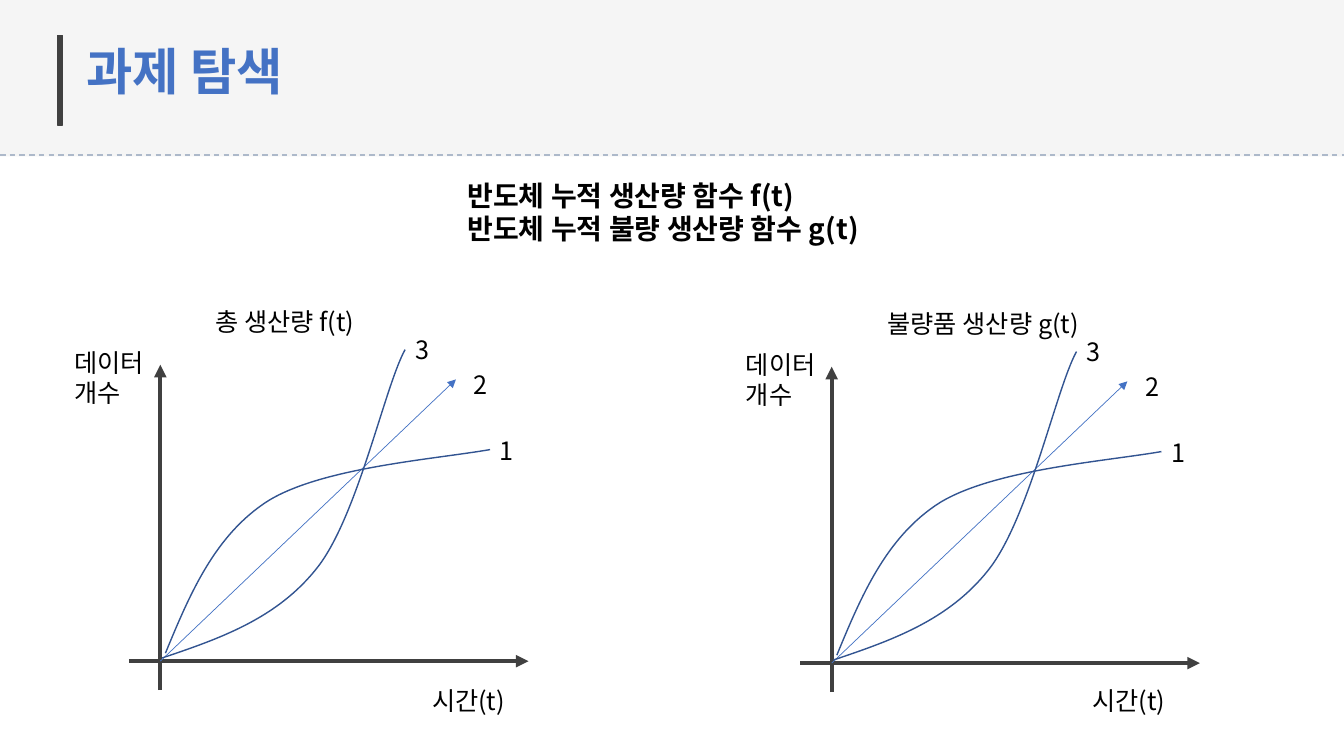
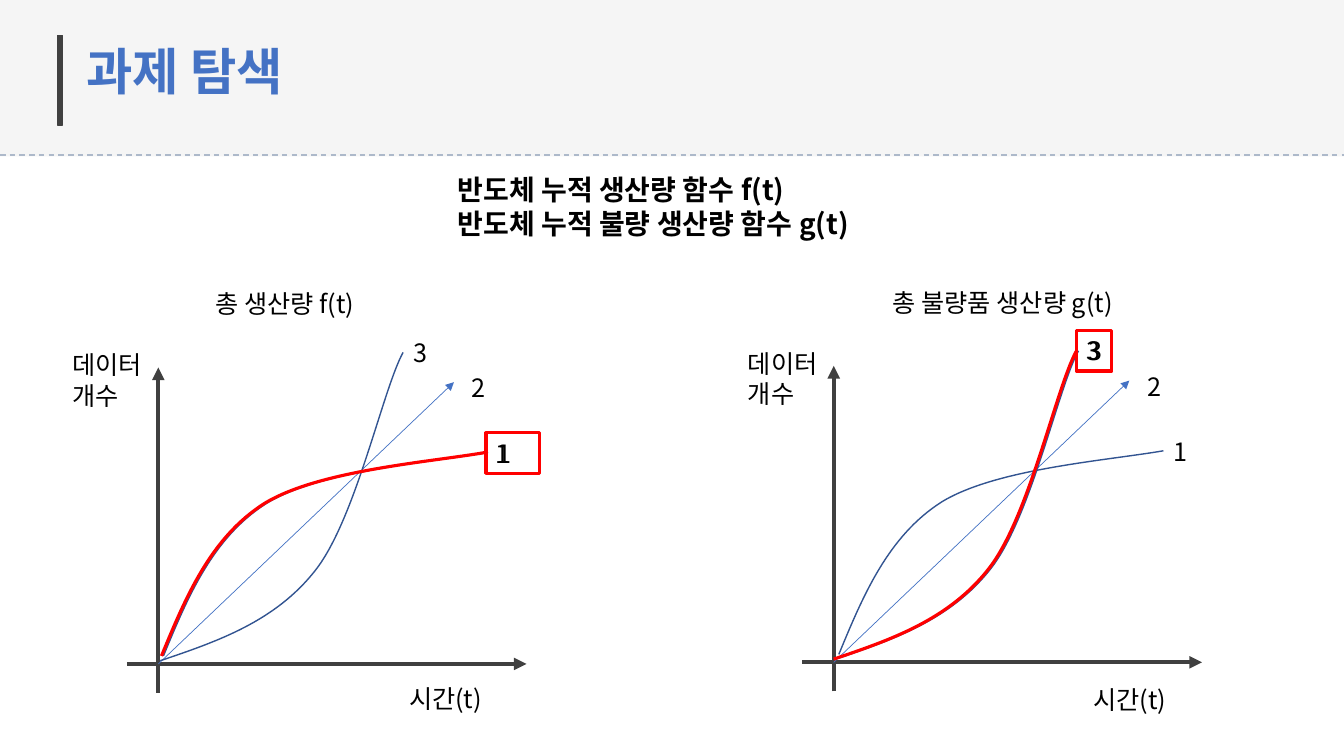
import lxml.etree
import pptx
import pptx.dml.color
import pptx.enum.dml
import pptx.enum.shapes
import pptx.enum.text
import pptx.oxml.ns
import pptx.util

Cm = pptx.util.Cm
qn = pptx.oxml.ns.qn

FONT = "Noto Sans CJK KR"
COLORS = {
    "band": "F5F5F5",
    "dark": "404040",
    "divider": "ADB9CA",
    "accent": "4472C4",
    "curve": "325491",
    "highlight": "FF0000",
    "text": "000000",
}
SLIDE_WIDTH, SLIDE_HEIGHT = 33.87, 19.05
LINE_HEIGHT = 1.02

# Graph parts, in cm from the graph's origin.
# A curve is a start point followed by Bezier control and end points.
CURVES = {
    "3": [(0.05, -0.08), (1.5, -0.57), (2.95, -1.07), (3.96, -2.36),
          (4.98, -3.66), (5.66, -6.93), (6.17, -7.85)],
    "1": [(0.13, -0.2), (0.74, -1.68), (1.37, -3.18), (2.72, -4.04),
          (4.09, -4.88), (6.86, -5.08), (8.31, -5.33)],
}
# Left, top and width of each curve number
NUMBERS = {
    "1": (8.31, -5.82, 1.35),
    "2": (7.65, -7.47, 0.64),
    "3": (6.17, -8.36, 0.89),
}
HIGHLIGHT_SHIFT = -0.05

SLIDES = [
    {
        "heading": (11.53, 4.37),
        "graphs": [
            {"origin": (4.04, 16.66), "title": "총 생산량 f(t)",
             "title_at": (5.18, 7.59, 4.45), "time_at": (10.64, 17.15)},
            {"origin": (20.96, 16.71), "title": "불량품 생산량 g(t)",
             "title_at": (22.12, 7.65, 6.73), "time_at": (27.28, 17.15)},
        ],
    },
    {
        "heading": (11.28, 4.22),
        "graphs": [
            {"origin": (3.99, 16.73), "title": "총 생산량 f(t)",
             "title_at": (5.18, 7.14, 4.45), "time_at": (10.06, 17.09),
             "highlight": "1"},
            {"origin": (21.01, 16.69), "title": "총 불량품 생산량 g(t)",
             "title_at": (22.25, 7.11, 6.73), "time_at": (27.31, 17.12),
             "highlight": "3"},
        ],
    },
]


def rgb(color):
    return pptx.dml.color.RGBColor.from_string(COLORS[color])


def set_line(line, color, width):
    line.color.rgb = rgb(color)
    line.width = pptx.util.Pt(width)


def write_text(box, text, size=18, color="text", bold=False):
    """Fill a box with left-aligned text, one paragraph per line."""
    frame = box.text_frame
    frame.word_wrap = True
    frame.auto_size = pptx.enum.text.MSO_AUTO_SIZE.SHAPE_TO_FIT_TEXT
    frame.vertical_anchor = pptx.enum.text.MSO_ANCHOR.TOP
    frame.text = text
    for para in frame.paragraphs:
        para.alignment = pptx.enum.text.PP_ALIGN.LEFT
        for span in para.runs:
            span.font.name = FONT
            span.font.size = pptx.util.Pt(size)
            span.font.bold = bold
            span.font.color.rgb = rgb(color)
            properties = span.font._element
            lxml.etree.SubElement(properties, qn("a:ea"), typeface=FONT)


def add_text(page, text, left, top, width, height=LINE_HEIGHT, **style):
    box = page.shapes.add_textbox(Cm(left), Cm(top), Cm(width), Cm(height))
    write_text(box, text, **style)


def add_box(page, left, top, width, height, fill=None, line=None, weight=1):
    box = page.shapes.add_shape(pptx.enum.shapes.MSO_SHAPE.RECTANGLE,
                                Cm(left), Cm(top), Cm(width), Cm(height))
    box.shadow.inherit = False
    if fill:
        box.fill.solid()
        box.fill.fore_color.rgb = rgb(fill)
    else:
        box.fill.background()
    if line:
        set_line(box.line, line, weight)
    else:
        box.line.fill.background()
    return box


def add_line(page, start, end, color, weight, arrow=False, dashed=False):
    connector = page.shapes.add_connector(
        pptx.enum.shapes.MSO_CONNECTOR.STRAIGHT,
        *[Cm(length) for length in (*start, *end)])
    set_line(connector.line, color, weight)
    if dashed:
        connector.line.dash_style = pptx.enum.dml.MSO_LINE.DASH
    if arrow:
        outline = connector.element.spPr.find(qn("a:ln"))
        lxml.etree.SubElement(outline, qn("a:tailEnd"), type="triangle")
    lxml.etree.SubElement(connector.element.spPr, qn("a:effectLst"))


def add_curve(page, points, color, weight):
    """Draw a Bezier curve: a freeform whose segments are joined in threes."""
    start, *others = [(Cm(x), Cm(y)) for x, y in points]
    builder = page.shapes.build_freeform(*start)
    builder.add_line_segments(others, close=False)
    curve = builder.convert_to_shape()
    curve.shadow.inherit = False
    curve.fill.background()
    set_line(curve.line, color, weight)

    outline = next(curve.element.iter(qn("a:path")))
    segments = outline.findall(qn("a:lnTo"))
    for first in range(0, len(segments), 3):
        bezier = lxml.etree.SubElement(outline, qn("a:cubicBezTo"))
        for segment in segments[first:first + 3]:
            bezier.append(segment[0])
            outline.remove(segment)


def add_header(page):
    add_box(page, 0, 0, SLIDE_WIDTH, 3.94, fill="band")
    add_box(page, 1.45, 0.89, 0.13, 2.26, fill="dark", line="dark")
    add_line(page, (0, 3.91), (SLIDE_WIDTH, 3.91), "divider", 1, dashed=True)
    add_text(page, "과제 탐색", 1.93, 0.89, 20.9, 1.8,
             size=36, color="accent", bold=True)


def add_graph(page, origin, title, title_at, time_at, highlight=None):
    def place(x, y):
        return origin[0] + x, origin[1] + y

    # Axes and their names
    add_line(page, place(-0.79, 0), place(9.28, 0), "dark", 3, arrow=True)
    add_line(page, place(0, 0.73), place(0, -7.47), "dark", 3, arrow=True)
    add_text(page, "시간(t)", *time_at, 2.69)
    add_text(page, "데이터 개수", *place(-2.41, -8.04), 3.07, 1.8)
    add_text(page, title, *title_at)

    # Straight line, curves and their numbers
    add_line(page, origin, place(7.45, -7.1), "accent", 0.5, arrow=True)
    for points in CURVES.values():
        add_curve(page, [place(*point) for point in points], "curve", 1)
    for number, (x, y, width) in NUMBERS.items():
        add_text(page, number, *place(x, y), width)

    # Red curve with a framed number
    if highlight:
        points = [place(x + HIGHLIGHT_SHIFT, y) for x, y in CURVES[highlight]]
        add_curve(page, points, "highlight", 2.25)
        x, y, width = NUMBERS[highlight]
        frame = add_box(page, *place(x + HIGHLIGHT_SHIFT, y), width,
                        LINE_HEIGHT, line="highlight", weight=2.25)
        write_text(frame, highlight)


def main():
    deck = pptx.Presentation()
    deck.slide_width, deck.slide_height = Cm(SLIDE_WIDTH), Cm(SLIDE_HEIGHT)
    for content in SLIDES:
        page = deck.slides.add_slide(deck.slide_layouts[6])
        add_header(page)
        add_text(page, "반도체 누적 생산량 함수 f(t)\n반도체 누적 불량 생산량 함수 g(t)",
                 *content["heading"], 11.33, 1.96, size=20, bold=True)
        for graph in content["graphs"]:
            add_graph(page, **graph)
    deck.save("out.pptx")


if __name__ == "__main__":
    main()
